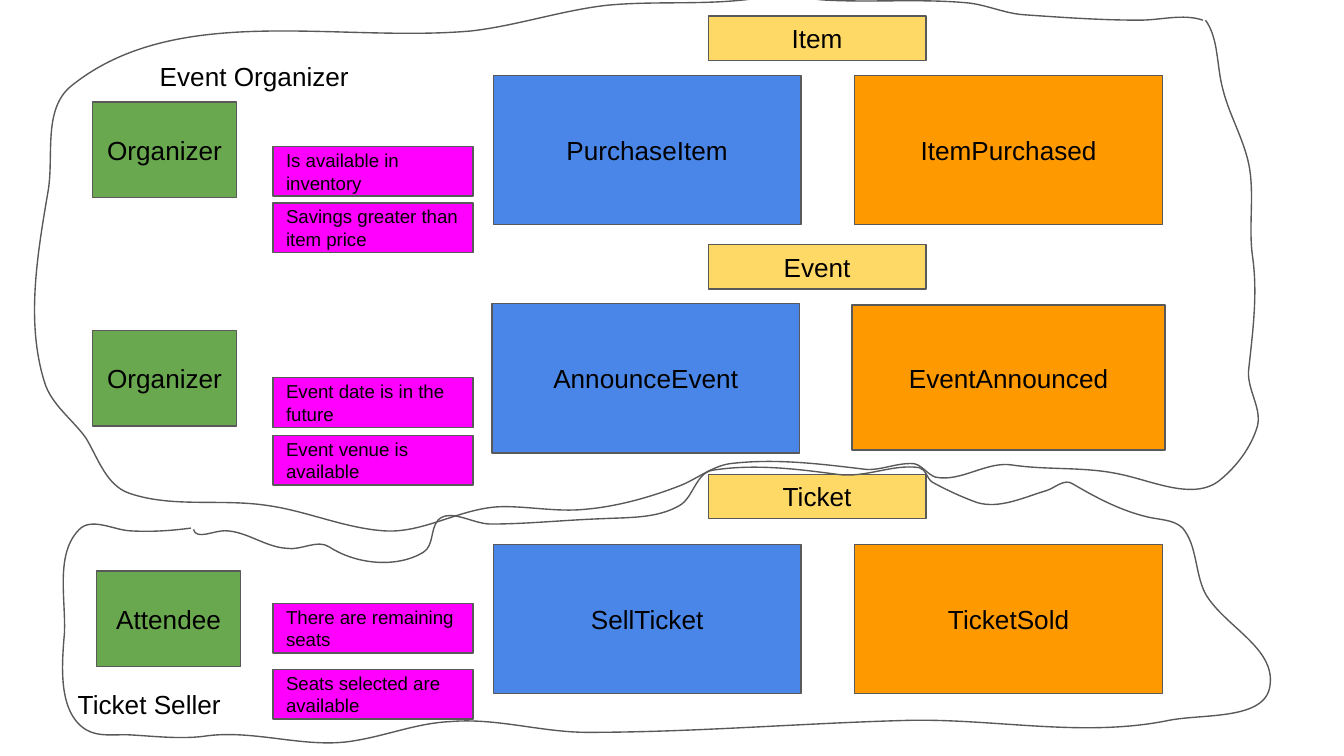
from pptx import Presentation
from pptx.dml.color import RGBColor
from pptx.enum.shapes import MSO_SHAPE as Shape
from pptx.enum.text import MSO_ANCHOR as Anchor, PP_ALIGN as Align
from pptx.oxml.ns import qn
from pptx.util import Pt
from lxml.etree import SubElement

PX = 9144  # EMU per px, 100 px to the inch
FONT = "Arial"
COLORS = {
    "event": "FF9900",
    "command": "4A86E8",
    "aggregate": "FFD966",
    "rule": "FF00FF",
    "actor": "6AA84F",
    "line": "595959",
    "text": "000000",
}

# Left, top, width, height, label
EVENTS = [
    (636, 56, 229, 111, "ItemPurchased"),
    (634, 227, 233, 108, "EventAnnounced"),
    (636, 405, 229, 111, "TicketSold"),
]
COMMANDS = [
    (367, 56, 229, 111, "PurchaseItem"),
    (366, 226, 229, 111, "AnnounceEvent"),
    (367, 405, 229, 111, "SellTicket"),
]
AGGREGATES = [(12, "Item"), (182, "Event"), (353, "Ticket")]
RULES = [
    (109, "Is available in inventory"),
    (151, "Savings greater than item price"),
    (281, "Event date is in the future"),
    (324, "Event venue is available"),
    (449, "There are remaining seats"),
    (498, "Seats selected are available"),
]
ACTORS = [(69, 76, "Organizer"), (69, 246, "Organizer"), (72, 425, "Attendee")]

# Each boundary is a start point, then two handles and an end point per curve
ORGANIZER_BOUNDARY = [
    (897, 15),
    (907, 29), (905, 49), (910, 67), (915, 87), (927, 106), (930, 127),
    (933, 148), (929, 170), (932, 191), (936, 219), (932, 248), (929, 276),
    (928, 291), (940, 305), (935, 319), (930, 334), (920, 347), (908, 357),
    (889, 373), (858, 358), (834, 353), (807, 347), (780, 350), (753, 346),
    (734, 343), (715, 359), (696, 355), (690, 353), (686, 346), (680, 345),
    (667, 344), (654, 351), (642, 349), (609, 345), (576, 341), (543, 345),
    (530, 347), (519, 356), (507, 361), (484, 370), (459, 377), (435, 379),
    (415, 381), (395, 377), (375, 377), (344, 377), (316, 397), (286, 395),
    (256, 393), (228, 380), (198, 376), (164, 371), (128, 378), (96, 367),
    (79, 361), (73, 341), (64, 326), (54, 312), (38, 301), (33, 284),
    (19, 239), (28, 188), (36, 141), (40, 115), (32, 81), (53, 64),
    (131, 1), (251, 32), (351, 23), (385, 19), (417, 8), (451, 4),
    (491, 0), (533, 5), (573, -3), (586, -5), (599, -1), (613, 0),
    (648, 2), (683, -1), (718, 2), (733, 3), (747, 10), (762, 11),
    (791, 13), (819, 15), (848, 15), (864, 15), (880, 10), (895, 15),
]
SELLER_BOUNDARY = [
    (142, 393),
    (127, 395), (112, 396), (96, 395), (84, 394), (68, 385), (59, 394),
    (41, 412), (49, 445), (48, 471), (46, 495), (43, 530), (64, 543),
    (74, 549), (87, 546), (99, 547), (116, 548), (134, 550), (151, 548),
    (189, 542), (228, 558), (265, 551), (289, 547), (311, 538), (335, 537),
    (369, 534), (403, 545), (437, 545), (517, 545), (598, 538), (678, 536),
    (742, 535), (807, 549), (870, 536), (896, 531), (942, 536), (945, 510),
    (949, 482), (911, 466), (897, 442), (889, 427), (891, 406), (880, 393),
    (873, 386), (861, 387), (851, 384), (832, 379), (815, 370), (798, 360),
    (792, 356), (785, 363), (779, 365), (762, 370), (744, 379), (727, 374),
    (716, 370), (705, 365), (694, 359), (690, 357), (689, 349), (684, 348),
    (664, 345), (644, 356), (623, 353), (593, 349), (561, 345), (530, 350),
    (518, 352), (516, 370), (506, 376), (489, 386), (468, 385), (448, 386),
    (420, 387), (392, 390), (365, 390), (352, 390), (335, 378), (326, 387),
    (320, 394), (323, 406), (315, 411), (295, 423), (265, 420), (245, 407),
    (236, 401), (224, 410), (213, 408), (197, 407), (183, 395), (167, 395),
    (159, 395), (146, 402), (144, 394),
]


def color(name):
    return RGBColor.from_string(COLORS[name])


def write_text(shape, label, size, align, anchor):
    frame = shape.text_frame
    frame.word_wrap = True
    frame.vertical_anchor = anchor
    frame.margin_left = frame.margin_right = 10 * PX
    frame.margin_top = frame.margin_bottom = 10 * PX
    frame.text = label
    para = frame.paragraphs[0]
    para.alignment = align
    font = para.runs[0].font
    font.name, font.size = FONT, Pt(size)
    font.color.rgb = color("text")


def style_outline(shape):
    shape.shadow.inherit = False
    shape.line.color.rgb = color("line")
    shape.line.width = Pt(0.75)


def add_box(page, kind, left, top, width, height, label, size=14, align=Align.CENTER):
    box = page.shapes.add_shape(
        Shape.RECTANGLE, left * PX, top * PX, width * PX, height * PX)
    box.fill.solid()
    box.fill.fore_color.rgb = color(kind)
    style_outline(box)
    write_text(box, label, size, align, Anchor.MIDDLE)


def add_caption(page, left, top, width, height, label):
    caption = page.shapes.add_textbox(left * PX, top * PX, width * PX, height * PX)
    write_text(caption, label, 14, Align.LEFT, Anchor.TOP)


def add_boundary(page, points):
    builder = page.shapes.build_freeform(*points[0], scale=PX)
    builder.add_line_segments(points[1:], close=False)
    boundary = builder.convert_to_shape()
    boundary.fill.background()
    style_outline(boundary)
    # Turn every three straight segments into one Bézier curve
    outline = next(boundary.element.iter(qn("a:path")))
    segments = outline.findall(qn("a:lnTo"))
    for first in range(0, len(segments), 3):
        curve = SubElement(outline, qn("a:cubicBezTo"))
        for segment in segments[first:first + 3]:
            curve.append(segment[0])
            outline.remove(segment)


def main():
    # Widescreen page, 16 to 9
    deck = Presentation()
    deck.slide_width = 1000 * PX
    deck.slide_height = deck.slide_width * 9 // 16
    page = deck.slides.add_slide(deck.slide_layouts[6])

    # Events, commands and aggregates
    for event in EVENTS:
        add_box(page, "event", *event)
    for command in COMMANDS:
        add_box(page, "command", *command)
    for top, label in AGGREGATES:
        add_box(page, "aggregate", 527, top, 162, 33, label)

    # Business rules and actors
    for top, label in RULES:
        add_box(page, "rule", 203, top, 149, 37, label, 10, Align.LEFT)
    for left, top, label in ACTORS:
        add_box(page, "actor", left, top, 107, 71, label)

    # Context boundaries and their names
    add_boundary(page, ORGANIZER_BOUNDARY)
    add_boundary(page, SELLER_BOUNDARY)
    add_caption(page, 109, 35, 173, 37, "Event Organizer")
    add_caption(page, 48, 502, 149, 37, "Ticket Seller")

    deck.save("out.pptx")


if __name__ == "__main__":
    main()
